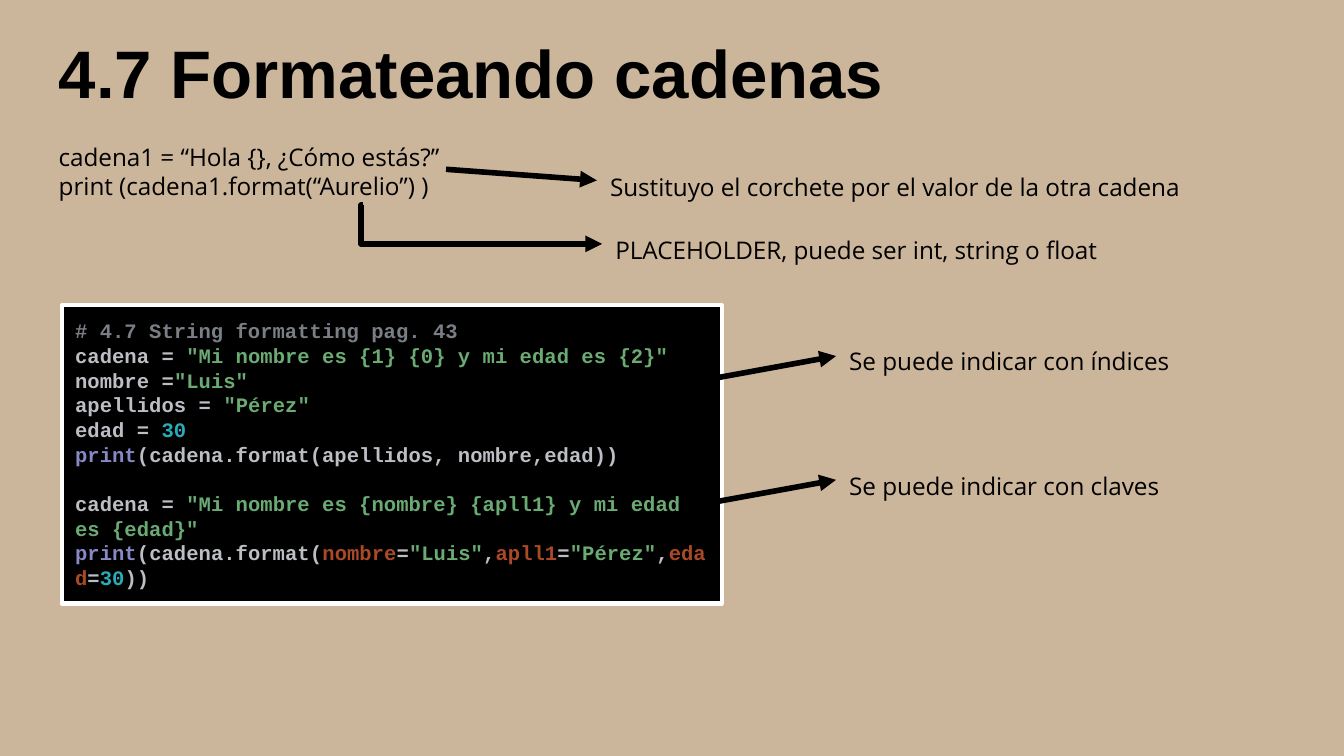
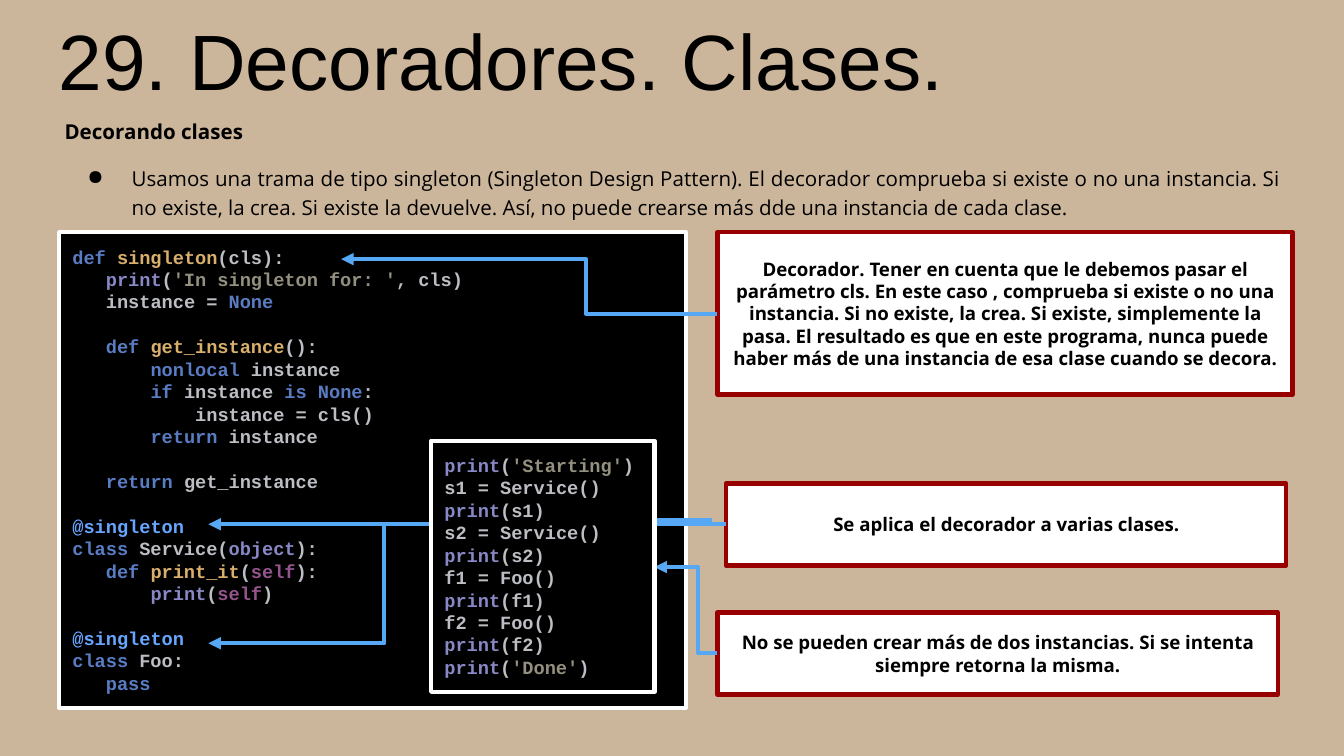
from lxml import etree
from pptx import Presentation
from pptx.dml.color import RGBColor
from pptx.enum.shapes import MSO_CONNECTOR, MSO_SHAPE
from pptx.enum.text import MSO_ANCHOR, PP_ALIGN
from pptx.oxml.ns import qn
from pptx.util import Cm, Pt

# Slide colours
SAND = RGBColor(0xCC, 0xB6, 0x9B)
BLACK = RGBColor(0x00, 0x00, 0x00)
WHITE = RGBColor(0xFF, 0xFF, 0xFF)
DARK_RED = RGBColor(0x98, 0x00, 0x00)
BLUE = RGBColor(0x56, 0xA8, 0xF5)

# Syntax colours
PLAIN = RGBColor(0xBC, 0xBE, 0xC4)
COMMENT = RGBColor(0x7A, 0x7E, 0x85)
STRING = RGBColor(0x6A, 0xAB, 0x73)
NUMBER = RGBColor(0x2A, 0xAC, 0xB8)
BUILTIN = RGBColor(0x88, 0x88, 0xC6)
ARGUMENT = RGBColor(0xAA, 0x49, 0x26)
KEYWORD = RGBColor(0x59, 0x7C, 0xC2)
FUNCTION = RGBColor(0xD9, 0xAF, 0x6C)
QUOTED = RGBColor(0x94, 0x90, 0x7F)
DECORATOR = RGBColor(0x66, 0xA6, 0xFF)
SELF = RGBColor(0x94, 0x55, 0x8D)

# Shared text styles
TITLE = dict(font="Arial", anchor=MSO_ANCHOR.BOTTOM)
NOTE = dict(font="Open Sans", size=13)
CODE = dict(font="Courier New", bold=True, fill=BLACK, border=WHITE)
CALLOUT = dict(font="Open Sans", size=10, bold=True, align=PP_ALIGN.CENTER,
               anchor=MSO_ANCHOR.MIDDLE, fill=WHITE, border=DARK_RED)


def add_text(s, box, lines, font, size, bold=False, align=PP_ALIGN.LEFT,
             anchor=MSO_ANCHOR.TOP, fill=None, border=None):
    """Each line is a list of (text, colour) runs."""
    place = [Cm(v) for v in box]
    if fill is None:
        sp = s.shapes.add_textbox(*place)
    else:
        sp = s.shapes.add_shape(MSO_SHAPE.RECTANGLE, *place)
        sp.shadow.inherit = False
        sp.fill.solid()
        sp.fill.fore_color.rgb = fill
        sp.line.color.rgb = border
        sp.line.width = Pt(2.25)
    tf = sp.text_frame
    tf.word_wrap = True
    tf.vertical_anchor = anchor
    tf.margin_left = tf.margin_right = tf.margin_top = tf.margin_bottom = Cm(0.25)
    for i, line in enumerate(lines):
        p = tf.paragraphs[0] if i == 0 else tf.add_paragraph()
        p.alignment = align
        for text, color in line:
            r = p.add_run()
            r.text = text
            r.font.name = font
            r.font.size = Pt(size)
            r.font.bold = bold
            r.font.color.rgb = color
        if not line:  # an empty code line keeps the height of the others
            end = etree.SubElement(p._p, qn("a:endParaRPr"), sz=str(size * 100))
            etree.SubElement(end, qn("a:latin"), typeface=font)
    return tf


def add_arrow(s, begin, end, color, width, bend=None):
    """A straight arrow, or an elbow that turns at the share `bend` of its width."""
    kind = MSO_CONNECTOR.STRAIGHT if bend is None else MSO_CONNECTOR.ELBOW
    c = s.shapes.add_connector(kind, *[Cm(v) for v in begin + end])
    c.line.color.rgb = color
    c.line.width = Pt(width)
    etree.SubElement(c.line._get_or_add_ln(), qn("a:tailEnd"), type="triangle")
    sp_pr = c._element.spPr
    etree.SubElement(sp_pr, qn("a:effectLst"))
    if bend is not None:
        guides = sp_pr.find(qn("a:prstGeom")).find(qn("a:avLst"))
        etree.SubElement(guides, qn("a:gd"), name="adj1",
                         fmla=f"val {round(bend * 100000)}")


prs = Presentation()
prs.slide_width, prs.slide_height = Cm(25.4), Cm(14.29)
slides = []
for _ in range(2):
    s = prs.slides.add_slide(prs.slide_layouts[6])
    s.background.fill.solid()
    s.background.fill.fore_color.rgb = SAND
    slides.append(s)

# Slide 1: string formatting
s = slides[0]
add_text(s, (0.86, 0.89, 23.67, 1.47), [[("4.7 Formateando cadenas", BLACK)]],
         size=36, bold=True, **TITLE)
add_text(s, (0.86, 2.44, 10.21, 3.23),
         [[("cadena1 = “Hola {}, ¿Cómo estás?”", BLACK)],
          [("print (cadena1.format(“Aurelio”) )", BLACK)]], **NOTE)

# Code panel
formatting_code = [
    [("# 4.7 String formatting pag. 43", COMMENT)],
    [("cadena = ", PLAIN), ('"Mi nombre es {1} {0} y mi edad es {2}"', STRING)],
    [("nombre =", PLAIN), ('"Luis"', STRING)],
    [("apellidos = ", PLAIN), ('"Pérez"', STRING)],
    [("edad = ", PLAIN), ("30", NUMBER)],
    [("print", BUILTIN), ("(cadena.format(apellidos, nombre,edad))", PLAIN)],
    [],
    [("cadena = ", PLAIN),
     ('"Mi nombre es {nombre} {apll1} y mi edad es {edad}"', STRING)],
    [("print", BUILTIN), ("(cadena.format(", PLAIN),
     ("nombre", ARGUMENT), ("=", PLAIN), ('"Luis"', STRING), (",", PLAIN),
     ("apll1", ARGUMENT), ("=", PLAIN), ('"Pérez"', STRING), (",", PLAIN),
     ("edad", ARGUMENT), ("=", PLAIN), ("30", NUMBER), ("))", PLAIN)],
]
add_text(s, (1.17, 5.77, 12.47, 5.64), formatting_code, size=11, **CODE)

# Notes and their arrows
for left, top, width, text in (
        (11.28, 3.0, 12.24, "Sustituyo el corchete por el valor de la otra cadena"),
        (11.38, 4.19, 12.24, "PLACEHOLDER, puede ser int, string o float"),
        (15.8, 6.3, 6.63, "Se puede indicar con índices"),
        (15.8, 8.66, 6.63, "Se puede indicar con claves")):
    add_text(s, (left, top, width, 0.84), [[(text, BLACK)]], **NOTE)
for begin, end, bend in (
        ((8.43, 3.2), (11.28, 3.41), None),
        ((6.87, 3.88), (11.38, 4.61), -0.01),
        ((13.28, 7.19), (15.8, 6.73), None),
        ((13.44, 9.5), (15.8, 9.07), None)):
    add_arrow(s, begin, end, BLACK, 3, bend)

# Slide 2: class decorators
s = slides[1]
add_text(s, (0.86, 0.69, 23.67, 1.57), [[("29. Decoradores. Clases.", BLACK)]],
         size=42, **TITLE)

# Heading and bullet
tf = add_text(
    s, (0.97, 2.29, 23.5, 1.75),
    [[("Decorando clases", BLACK)],
     [("Usamos una trama de tipo singleton (Singleton Design Pattern). El decorador "
       "comprueba si existe o no una instancia. Si no existe, la crea. Si existe la "
       "devuelve. Así, no puede crearse más dde una instancia de cada clase.", BLACK)]],
    font="Open Sans", size=11, align=PP_ALIGN.JUSTIFY, anchor=MSO_ANCHOR.MIDDLE)
heading, bullet = tf.paragraphs
heading.runs[0].font.bold = True
heading.line_spacing = bullet.line_spacing = 1.15
bullet.space_before = Pt(10)
pPr = bullet._p.get_or_add_pPr()
pPr.set("marL", str(Cm(1.27)))
pPr.set("indent", str(-Cm(0.84)))
bullet_color = etree.SubElement(pPr, qn("a:buClr"))
etree.SubElement(bullet_color, qn("a:srgbClr"), val=str(BLACK))
etree.SubElement(pPr, qn("a:buChar"), char="●")

# Main code panel
singleton_code = [
    [("def ", KEYWORD), ("singleton", FUNCTION), ("(cls):", PLAIN)],
    [("   print", BUILTIN), ("(", PLAIN), ("'In singleton for: '", QUOTED),
     (", cls)", PLAIN)],
    [("   instance = ", PLAIN), ("None", KEYWORD)],
    [],
    [("   def ", KEYWORD), ("get_instance", FUNCTION), ("():", PLAIN)],
    [("       nonlocal ", KEYWORD), ("instance", PLAIN)],
    [("       if ", KEYWORD), ("instance ", PLAIN), ("is None", KEYWORD), (":", PLAIN)],
    [("           instance = cls()", PLAIN)],
    [("       return ", KEYWORD), ("instance", PLAIN)],
    [],
    [("   return ", KEYWORD), ("get_instance", PLAIN)],
    [],
    [("@singleton", DECORATOR)],
    [("class ", KEYWORD), ("Service(", PLAIN), ("object", BUILTIN), ("):", PLAIN)],
    [("   def ", KEYWORD), ("print_it", FUNCTION), ("(", PLAIN), ("self", SELF),
     ("):", PLAIN)],
    [("       print", BUILTIN), ("(", PLAIN), ("self", SELF), (")", PLAIN)],
    [],
    [("@singleton", DECORATOR)],
    [("class ", KEYWORD), ("Foo:", PLAIN)],
    [("   pass", KEYWORD)],
]
add_text(s, (1.12, 4.39, 11.84, 8.99), singleton_code, size=10, **CODE)

# Callouts and their arrows
for box, text in (
        ((13.56, 4.39, 10.87, 3.07),
         "Decorador. Tener en cuenta que le debemos pasar el parámetro cls. En este "
         "caso , comprueba si existe o no una instancia. Si no existe, la crea. Si "
         "existe, simplemente la pasa. El resultado es que en este programa, nunca "
         "puede haber más de una instancia de esa clase cuando se decora."),
        ((13.72, 9.14, 10.59, 1.55), "Se aplica el decorador a varias clases."),
        ((13.56, 11.58, 10.59, 1.55),
         "No se pueden crear más de dos instancias. Si se intenta siempre retorna "
         "la misma.")):
    add_text(s, box, [[(text, BLACK)]], **CALLOUT)
for begin, end, bend in (
        ((13.56, 5.93), (6.45, 4.9), 0.35),
        ((13.46, 9.83), (3.94, 9.91), 0.5),
        ((13.56, 12.34), (12.37, 10.72), 0.31),
        ((13.72, 9.91), (3.94, 12.16), 0.66)):
    add_arrow(s, begin, end, BLUE, 2.25, bend)

# Inner code panel, over the arrows
usage_code = [[("print", BUILTIN), ("(", PLAIN), ("'Starting'", QUOTED), (")", PLAIN)]]
for name, cls in (("s1", "Service"), ("s2", "Service"), ("f1", "Foo"), ("f2", "Foo")):
    usage_code.append([(f"{name} = {cls}()", PLAIN)])
    usage_code.append([("print", BUILTIN), (f"({name})", PLAIN)])
usage_code.append([("print", BUILTIN), ("(", PLAIN), ("'Done'", QUOTED), (")", PLAIN)])
add_text(s, (8.15, 8.33, 4.22, 4.75), usage_code, size=10, **CODE)

prs.save("out.pptx")
